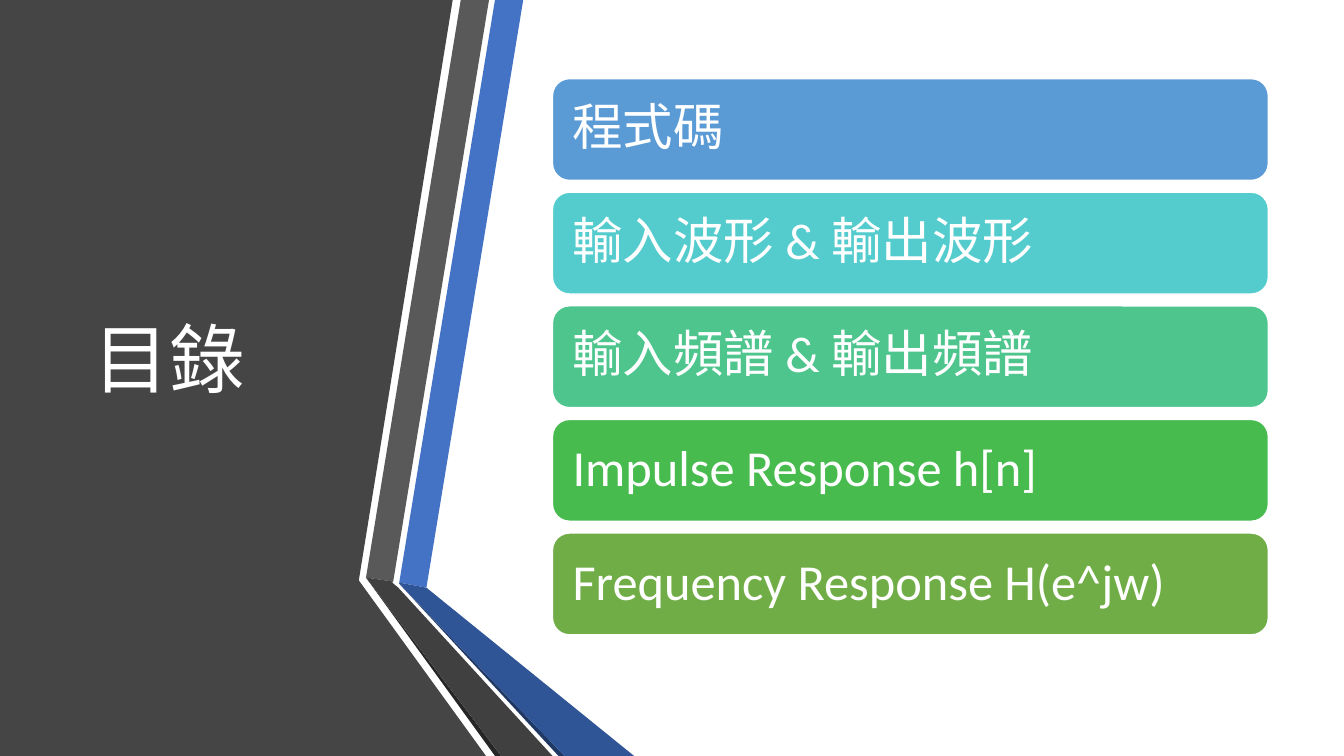
from pptx import Presentation
from pptx.dml.color import RGBColor
from pptx.enum.shapes import MSO_SHAPE
from pptx.enum.text import MSO_ANCHOR, PP_ALIGN
from pptx.util import Inches, Pt


def paint(fill, colour):
    fill.solid()
    fill.fore_color.rgb = RGBColor.from_string(colour)


def write(shape, text, size, frame_format, line_spacing):
    frame = shape.text_frame
    for name, value in frame_format.items():
        setattr(frame, name, value)
    para = frame.paragraphs[0]
    para.alignment = PP_ALIGN.LEFT
    para.line_spacing = line_spacing
    span = para.add_run()
    span.text = text
    for name, value in {"name": "Calibri", "size": Pt(size)}.items():
        setattr(span.font, name, value)
    paint(span.font.fill, "FFFFFF")


deck = Presentation()
deck.slide_width, deck.slide_height = Inches(13.33), Inches(7.5)
page = deck.slides.add_slide(deck.slide_layouts[6])
paint(page.background.fill, "FFFFFF")

# Dark panel and folded ribbons, from back to front
ribbons = [
    ("454545", [(0, 0), (4.49, 0), (3.56, 5.75), (3.56, 5.76), (4.82, 7.5), (0, 7.5)]),
    ("4472C4", [(3.96, 5.78), (4.23, 5.83), (5.19, 0), (4.91, 0)]),
    ("595959", [(4.85, 0), (4.57, 0), (3.63, 5.73), (3.9, 5.77)]),
    ("262626", [(3.63, 5.73), (4.91, 7.5), (4.97, 7.5)]),
    ("203864", [(3.96, 5.79), (5.54, 7.5), (5.6, 7.5)]),
    ("2F5597", [(3.96, 5.79), (5.6, 7.5), (6.29, 7.5), (4.23, 5.83), (3.96, 5.78)]),
    ("404040", [(5.48, 7.5), (3.95, 5.83), (3.89, 5.78), (3.9, 5.77), (3.63, 5.73), (4.97, 7.5)]),
]
for colour, corners in ribbons:
    points = [(Inches(x), Inches(y)) for x, y in corners]
    builder = page.shapes.build_freeform(*points[0])
    builder.add_line_segments(points[1:], close=True)
    ribbon = builder.convert_to_shape()
    ribbon.shadow.inherit = False
    paint(ribbon.fill, colour)
    ribbon.line.fill.background()

# Contents list
topics = [
    ("程式碼", "5B9BD5"),
    ("輸入波形 & 輸出波形", "54CCCD"),
    ("輸入頻譜 & 輸出頻譜", "4DC58D"),
    ("Impulse Response h[n]", "48BB4F"),
    ("Frequency Response H(e^jw)", "70AD47"),
]
topic_format = {
    "word_wrap": True,
    "vertical_anchor": MSO_ANCHOR.MIDDLE,
    "margin_left": Inches(0.15),
    "margin_right": Inches(0.15),
    "margin_top": Inches(0.15),
    "margin_bottom": Inches(0.15),
}
first_top, pitch = 0.78, 1.127
for index, (topic, colour) in enumerate(topics):
    bar = page.shapes.add_shape(
        MSO_SHAPE.ROUNDED_RECTANGLE,
        Inches(5.48), Inches(first_top + index * pitch), Inches(7.1), Inches(1.01),
    )
    bar.shadow.inherit = False
    paint(bar.fill, colour)
    paint(bar.line.fill, "FFFFFF")
    bar.line.width = Pt(1)
    write(bar, topic, 36, topic_format, 0.9)

# Title
title = page.shapes.add_textbox(Inches(0.83), Inches(3.04), Inches(2.33), Inches(1.01))
write(title, "目錄", 54, {"word_wrap": True}, 1.0)

deck.save("out.pptx")
